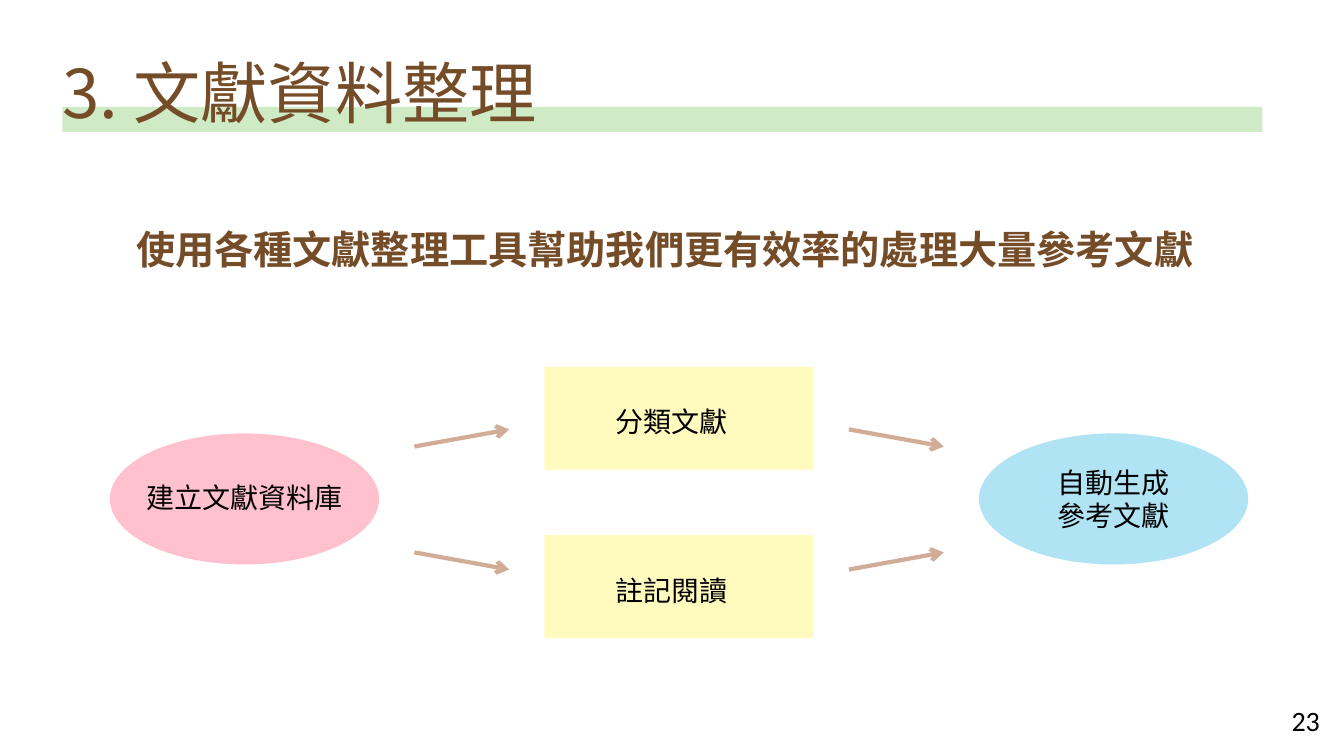
from lxml import etree
from pptx import Presentation
from pptx.dml.color import RGBColor
from pptx.enum.shapes import MSO_CONNECTOR, MSO_SHAPE
from pptx.enum.text import MSO_ANCHOR, PP_ALIGN
from pptx.oxml.ns import qn
from pptx.util import Pt

RECT, OVAL = MSO_SHAPE.RECTANGLE, MSO_SHAPE.OVAL
STRAIGHT = MSO_CONNECTOR.STRAIGHT
LEFT, CENTER, RIGHT = PP_ALIGN.LEFT, PP_ALIGN.CENTER, PP_ALIGN.RIGHT
TOP, MIDDLE = MSO_ANCHOR.TOP, MSO_ANCHOR.MIDDLE

PX = 9144  # 100 px to the inch
THEME = {
    "brown": "754C28", "black": "000000", "green": "CFEBC6", "pink": "FFC1CD",
    "yellow": "FFFABE", "blue": "B0E3F4", "arrow": "D1AC97",
    "cjk": "Noto Sans CJK SC", "latin": "Calibri",
    "title": 48, "headline": 28, "label": 20,
}


def color(name):
    return RGBColor.from_string(THEME[name])


def add_text(text, box, size="label", fill="black", font="cjk", bold=False,
             align=LEFT, anchor=TOP, inset=(0, 0), spacing=None):
    tf = s.shapes.add_textbox(*[v * PX for v in box]).text_frame
    tf.word_wrap = True
    tf.vertical_anchor = anchor
    tf.margin_left = tf.margin_right = inset[0] * PX
    tf.margin_top = tf.margin_bottom = inset[1] * PX
    for i, line in enumerate(text.split("\n")):
        p = tf.add_paragraph() if i else tf.paragraphs[0]
        p.alignment = align
        if spacing:
            p.line_spacing = Pt(spacing)
        r = p.add_run()
        r.text = line
        r.font.size = Pt(THEME[size])
        r.font.bold = bold
        r.font.color.rgb = color(fill)
        r.font.name = THEME[font]
        etree.SubElement(r.font._element, qn("a:ea"), typeface=THEME[font])


def add_block(kind, box, fill):
    sp = s.shapes.add_shape(kind, *[v * PX for v in box])
    sp.shadow.inherit = False
    sp.fill.solid()
    sp.fill.fore_color.rgb = color(fill)
    sp.line.fill.background()


prs = Presentation()
prs.slide_width, prs.slide_height = 1333 * PX, 750 * PX
s = prs.slides.add_slide(prs.slide_layouts[6])

# Title over its green band, and the headline
add_block(RECT, (62, 106, 1190, 25), "green")
add_text("3. 文獻資料整理", (62, 52, 521, 80), size="title", fill="brown", spacing=57)
add_text("使用各種文獻整理工具幫助我們更有效率的處理大量參考文獻", (135, 243, 1063, 30),
         size="headline", fill="brown", bold=True, spacing=19.9)

# Flow steps: shape, box, fill, label, label box, line spacing
STEPS = [
    (OVAL, (109, 430, 267, 130), "pink", "建立文獻資料庫", (127, 465, 231, 72), 12.8),
    (RECT, (540, 364, 267, 102), "yellow", "分類文獻", (590, 391, 152, 69), 12.8),
    (RECT, (540, 531, 267, 102), "yellow", "註記閱讀", (590, 559, 152, 69), 12.8),
    (OVAL, (971, 430, 267, 130), "blue", "自動生成\n參考文獻", (996, 440, 217, 110), None),
]
for kind, box, fill, label, label_box, spacing in STEPS:
    add_block(kind, box, fill)
    add_text(label, label_box, align=CENTER, anchor=MIDDLE, inset=(14, 14), spacing=spacing)

# Arrows fan out from the first step and join at the last
for x, y1, y2 in [(411, 443, 426), (411, 548, 565), (842, 426, 443), (842, 565, 548)]:
    c = s.shapes.add_connector(STRAIGHT, x * PX, y1 * PX, (x + 94) * PX, y2 * PX)
    c.line.color.rgb = color("arrow")
    c.line.width = Pt(3)
    ln = c.line._get_or_add_ln()
    etree.SubElement(ln, qn("a:round"))
    etree.SubElement(ln, qn("a:tailEnd"), type="arrow")
    etree.SubElement(c._element.spPr, qn("a:effectLst"))

# Page number
add_text("23", (1019, 695, 300, 40), font="latin", align=RIGHT, anchor=MIDDLE, inset=(10, 5))

prs.save("out.pptx")
